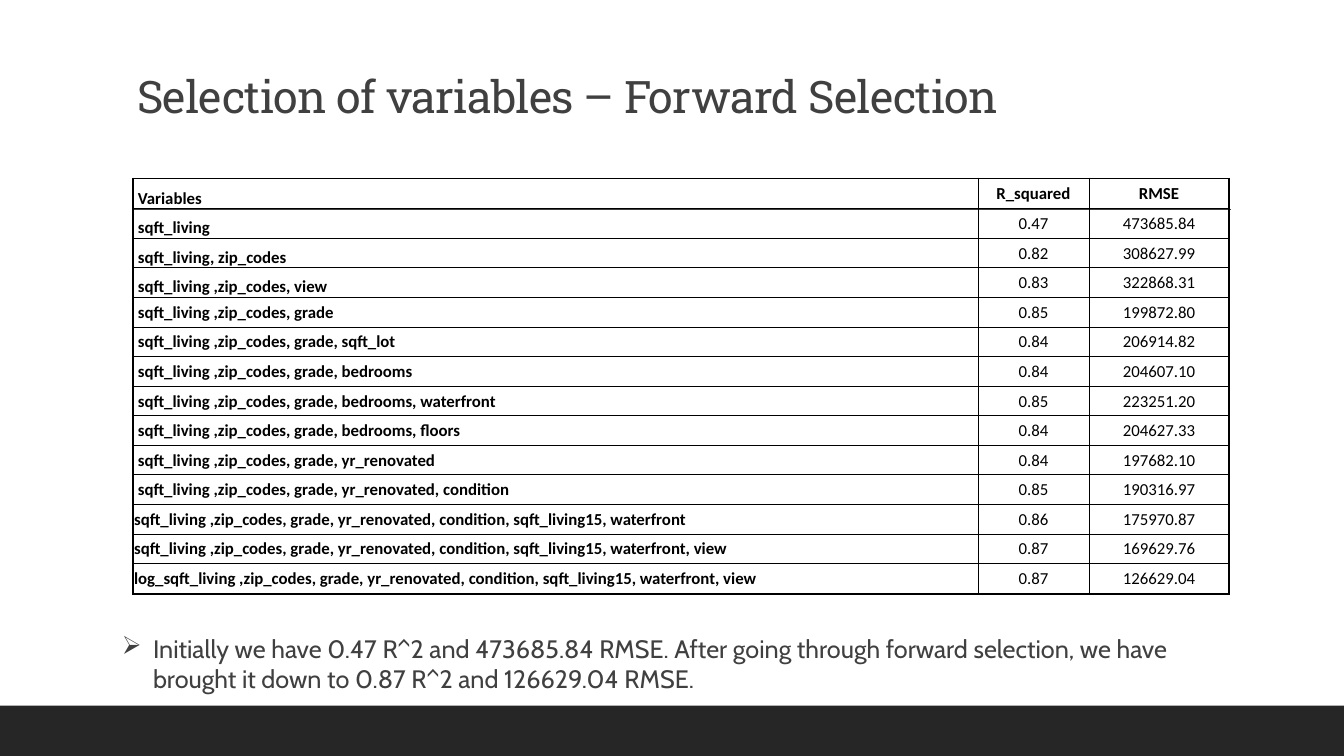
from typing import NamedTuple

from lxml.etree import SubElement
from pptx import Presentation
from pptx.dml.color import RGBColor
from pptx.enum.shapes import MSO_CONNECTOR, MSO_SHAPE
from pptx.enum.text import MSO_ANCHOR, MSO_AUTO_SIZE, PP_ALIGN
from pptx.oxml.ns import qn
from pptx.slide import Slide
from pptx.table import _Cell as Cell
from pptx.text.text import Font
from pptx.util import Emu, Pt

SCALE = 9144  # 100 px to the inch
WIDTH, HEIGHT = 1333, 750
BLACK = RGBColor(0x00, 0x00, 0x00)
GREY = RGBColor(0x40, 0x40, 0x40)
DARK = RGBColor(0x26, 0x26, 0x26)
THIN, THICK = Pt(0.5), Pt(1.5)
COLS = (838, 110, 139)
EDGE_ROW, INNER_ROWS = 30, 352  # first and last row; all rows between
LOW_ROWS = 4  # leading rows whose names sit at the bottom


class Model(NamedTuple):
    names: str
    score: str
    error: str


MODELS = (
    Model(" Variables", "R_squared", "RMSE"),
    Model(" sqft_living", "0.47", "473685.84"),
    Model(" sqft_living, zip_codes", "0.82", "308627.99"),
    Model(" sqft_living ,zip_codes, view", "0.83", "322868.31"),
    Model(" sqft_living ,zip_codes, grade", "0.85", "199872.80"),
    Model(" sqft_living ,zip_codes, grade, sqft_lot", "0.84", "206914.82"),
    Model(" sqft_living ,zip_codes, grade, bedrooms", "0.84", "204607.10"),
    Model(" sqft_living ,zip_codes, grade, bedrooms, waterfront", "0.85", "223251.20"),
    Model(" sqft_living ,zip_codes, grade, bedrooms, floors", "0.84", "204627.33"),
    Model(" sqft_living ,zip_codes, grade, yr_renovated", "0.84", "197682.10"),
    Model(" sqft_living ,zip_codes, grade, yr_renovated, condition", "0.85", "190316.97"),
    Model("sqft_living ,zip_codes, grade, yr_renovated, condition, sqft_living15, waterfront",
          "0.86", "175970.87"),
    Model("sqft_living ,zip_codes, grade, yr_renovated, condition, sqft_living15, waterfront, view",
          "0.87", "169629.76"),
    Model("log_sqft_living ,zip_codes, grade, yr_renovated, condition, sqft_living15, waterfront, view",
          "0.87", "126629.04"),
)


def px(count: int) -> Emu:
    return Emu(count * SCALE)


def style(font: Font, name: str, size: int, color: RGBColor, bold: bool = False) -> None:
    font.name, font.size, font.bold = name, Pt(size), bold
    font.color.rgb = color


def add_frame(slide: Slide) -> None:
    """Draw the bottom bar and the rule under the table header."""
    bar = slide.shapes.add_shape(MSO_SHAPE.RECTANGLE, 0, px(700), px(WIDTH), px(50))
    bar.shadow.inherit = False
    bar.fill.solid()
    bar.fill.fore_color.rgb = DARK
    bar.line.fill.background()
    rule = slide.shapes.add_connector(
        MSO_CONNECTOR.STRAIGHT, px(131), px(208), px(1221), px(208))
    rule.line.color.rgb = GREY
    rule.line.width = Pt(1)
    SubElement(rule._element.spPr, qn("a:effectLst"))


def set_title(slide: Slide) -> None:
    title = slide.shapes.title
    title.left, title.top, title.width, title.height = px(13), px(35), px(1100), px(92)
    frame = title.text_frame
    frame.text = "Selection of variables – Forward Selection"
    frame.auto_size = MSO_AUTO_SIZE.NONE
    frame.vertical_anchor = MSO_ANCHOR.BOTTOM
    para = frame.paragraphs[0]
    para.alignment = PP_ALIGN.CENTER
    para.line_spacing = 0.9
    run = para.runs[0]
    style(run.font, "Roboto Slab", 32, GREY)
    run._r.get_or_add_rPr().set("spc", "-50")


def set_borders(cell: Cell, row: int, col: int) -> None:
    """Thick lines on the outside of the table, thin ones inside."""
    outer = {
        "a:lnL": col == 0,
        "a:lnR": col == len(COLS) - 1,
        "a:lnT": row == 0,
        "a:lnB": row == len(MODELS) - 1,
    }
    props = cell._tc.get_or_add_tcPr()
    for tag, thick in outer.items():
        line = SubElement(props, qn(tag), w=str(THICK if thick else THIN))
        fill = SubElement(line, qn("a:solidFill"))
        SubElement(fill, qn("a:srgbClr"), val=str(BLACK))


def fill_cell(cell: Cell, text: str, row: int, col: int) -> None:
    set_borders(cell, row, col)
    cell.fill.background()
    cell.margin_left = cell.margin_right = cell.margin_top = px(1)
    cell.margin_bottom = 0
    low = col == 0 and row < LOW_ROWS
    cell.vertical_anchor = MSO_ANCHOR.BOTTOM if low else MSO_ANCHOR.MIDDLE
    cell.text_frame.text = text
    para = cell.text_frame.paragraphs[0]
    para.alignment = PP_ALIGN.LEFT if col == 0 else PP_ALIGN.CENTER
    style(para.runs[0].font, "Calibri", 12, BLACK, bold=row == 0 or col == 0)


def add_models(slide: Slide) -> None:
    last = len(MODELS) - 1
    table = slide.shapes.add_table(
        len(MODELS), len(COLS), px(132), px(177), px(sum(COLS)),
        px(2 * EDGE_ROW + INNER_ROWS)).table
    table.first_row = table.horz_banding = False
    for col, width in enumerate(COLS):
        table.columns[col].width = px(width)
    for row, model in enumerate(MODELS):
        edge = row in (0, last)
        table.rows[row].height = px(EDGE_ROW) if edge else Emu(px(INNER_ROWS) // (last - 1))
        for col, text in enumerate(model):
            fill_cell(table.cell(row, col), text, row, col)


def add_note(slide: Slide) -> None:
    frame = slide.shapes.add_textbox(px(111), px(623), px(1096), px(71)).text_frame
    frame.word_wrap = True
    frame.auto_size = MSO_AUTO_SIZE.SHAPE_TO_FIT_TEXT
    frame.text = ("Initially we have 0.47 R^2 and 473685.84 RMSE. After going through forward "
                  "selection, we have brought it down to 0.87 R^2 and 126629.04 RMSE.")
    para = frame.paragraphs[0]
    style(para.runs[0].font, "Cabin", 18, GREY)
    props = para._p.get_or_add_pPr()
    props.set("marL", str(px(31)))
    props.set("indent", str(px(-31)))
    SubElement(props, qn("a:buChar"), char="➢")


def main() -> None:
    deck = Presentation()
    deck.slide_width, deck.slide_height = px(WIDTH), px(HEIGHT)
    slide = deck.slides.add_slide(deck.slide_layouts[5])
    add_frame(slide)
    set_title(slide)
    add_note(slide)
    add_models(slide)
    deck.save("out.pptx")


if __name__ == "__main__":
    main()
